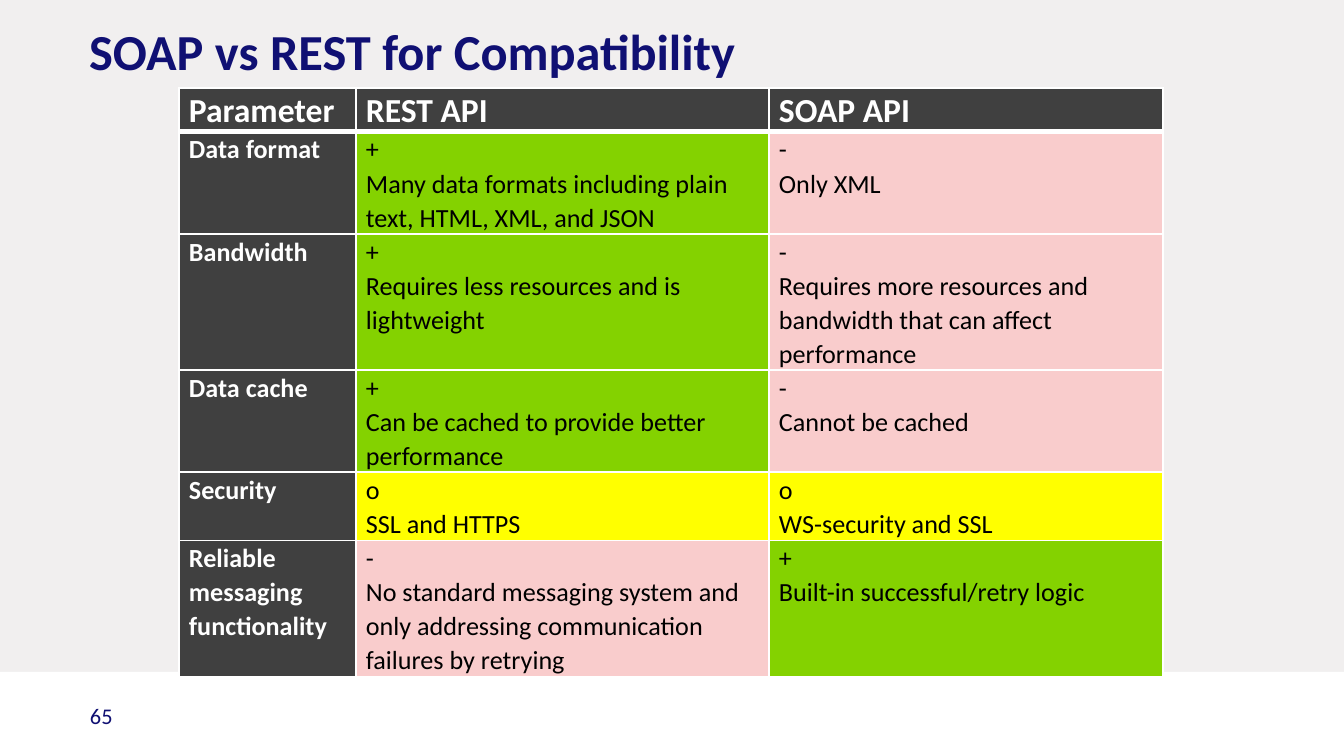
from lxml import etree
from pptx import Presentation
from pptx import util as u
from pptx.dml.color import RGBColor
from pptx.enum import shapes, text
from pptx.oxml import ns

EMU_PER_PX = 914400 / 134.4
FONT = "Calibri"
COLORS = {
    "background": "F1EFEF",
    "white": "FFFFFF",
    "black": "000000",
    "navy": "101073",
    "label": "404040",
    "+": "84D200",
    "-": "F9CCCC",
    "o": "FFFF00",
}
HEADINGS = ["Parameter", "REST API", "SOAP API"]
COMPARISON = [
    ("Data format",
     ("+", "Many data formats including plain text, HTML, XML, and JSON"),
     ("-", "Only XML")),
    ("Bandwidth",
     ("+", "Requires less resources and is lightweight"),
     ("-", "Requires more resources and bandwidth that can affect performance")),
    ("Data cache",
     ("+", "Can be cached to provide better performance"),
     ("-", "Cannot be cached")),
    ("Security",
     ("o", "SSL and HTTPS"),
     ("o", "WS-security and SSL")),
    ("Reliable messaging functionality",
     ("-", "No standard messaging system and only addressing communication failures by retrying"),
     ("+", "Built-in successful/retry logic")),
]
JUSTIFIED = {"Security", "Reliable messaging functionality"}
COLUMN_WIDTHS = [177, 413, 394]
ROW_HEIGHTS = [28, 86, 114, 86, 58, 114]


def px(length):
    return u.Emu(round(length * EMU_PER_PX))


def rgb(name):
    return RGBColor.from_string(COLORS[name])


def style_font(paragraph, size, color, bold=False):
    font = paragraph.font
    font.name = FONT
    font.size = u.Pt(size)
    font.bold = bold
    font.color.rgb = rgb(color)


def style_frame(frame):
    frame.margin_left = frame.margin_right = 0
    frame.margin_top = frame.margin_bottom = 0
    frame.word_wrap = True
    frame.auto_size = text.MSO_AUTO_SIZE.NONE
    frame.vertical_anchor = text.MSO_ANCHOR.TOP


def add_title(slide, wording):
    title = slide.shapes.title
    title.left, title.top, title.width, title.height = map(px, (89, 30, 1164, 58))
    style_frame(title.text_frame)
    title.text_frame.text = wording
    heading = title.text_frame.paragraphs[0]
    heading.alignment = text.PP_ALIGN.LEFT
    heading.line_spacing = u.Pt(27)
    style_font(heading, 27, "navy", True)


def add_footer_band(slide):
    band = slide.shapes.add_shape(
        shapes.MSO_SHAPE.RECTANGLE, 0, px(672), px(1344), px(84))
    band.shadow.inherit = False
    band.fill.solid()
    band.fill.fore_color.rgb = rgb("white")
    band.line.fill.background()


def add_page_number(slide, number):
    frame = slide.shapes.add_textbox(px(90), px(702), px(89), px(51)).text_frame
    style_frame(frame)
    frame.text = number
    style_font(frame.paragraphs[0], 12, "navy")


def add_border(cell, side, points):
    properties = cell._tc.get_or_add_tcPr()
    border = etree.SubElement(properties, ns.qn(f"a:ln{side}"), w=str(u.Pt(points)))
    fill = etree.SubElement(border, ns.qn("a:solidFill"))
    etree.SubElement(fill, ns.qn("a:srgbClr"), val=COLORS["white"])


def add_tab(paragraph, inches):
    tabs = etree.SubElement(paragraph._p.get_or_add_pPr(), ns.qn("a:tabLst"))
    etree.SubElement(tabs, ns.qn("a:tab"), pos=str(u.Inches(inches)), algn="l")


def fill_cell(cell, lines, fill, size, color, bold, row):
    cell.margin_left = cell.margin_right = px(10)
    cell.margin_top = cell.margin_bottom = 0
    for side in "LRTB":
        under_heading = (row, side) in {(0, "B"), (1, "T")}
        add_border(cell, side, 3 if under_heading else 1)
    cell.fill.solid()
    cell.fill.fore_color.rgb = rgb(fill)
    cell.text_frame.text = "\n".join(lines)
    for paragraph in cell.text_frame.paragraphs:
        justified = paragraph.text in JUSTIFIED
        add_tab(paragraph, 1.42 if justified else 0.25)
        if justified:
            paragraph.alignment = text.PP_ALIGN.JUSTIFY
        paragraph.line_spacing = 1.07
        style_font(paragraph, size, color, bold)


def add_comparison(slide):
    frame = slide.shapes.add_table(
        len(ROW_HEIGHTS), len(COLUMN_WIDTHS),
        px(179), px(88), px(sum(COLUMN_WIDTHS)), px(581))
    table = frame.table
    table.first_row = table.horz_banding = False
    for column, width in zip(table.columns, COLUMN_WIDTHS):
        column.width = px(width)
    for row, height in zip(table.rows, ROW_HEIGHTS):
        row.height = px(height)
    frame.height = px(581)

    for column, heading in enumerate(HEADINGS):
        fill_cell(table.cell(0, column), [heading], "label", 18, "white", True, 0)
    for row, (parameter, *ratings) in enumerate(COMPARISON, 1):
        fill_cell(table.cell(row, 0), [parameter], "label", 14, "white", True, row)
        for column, rating in enumerate(ratings, 1):
            fill_cell(table.cell(row, column), rating, rating[0], 14, "black", False, row)


def main():
    deck = Presentation()
    deck.slide_width, deck.slide_height = px(1344), px(756)
    slide = deck.slides.add_slide(deck.slide_layouts[5])
    slide.background.fill.solid()
    slide.background.fill.fore_color.rgb = rgb("background")
    add_footer_band(slide)
    add_title(slide, "SOAP vs REST for Compatibility")
    add_page_number(slide, "65")
    add_comparison(slide)
    deck.save("out.pptx")


if __name__ == "__main__":
    main()
